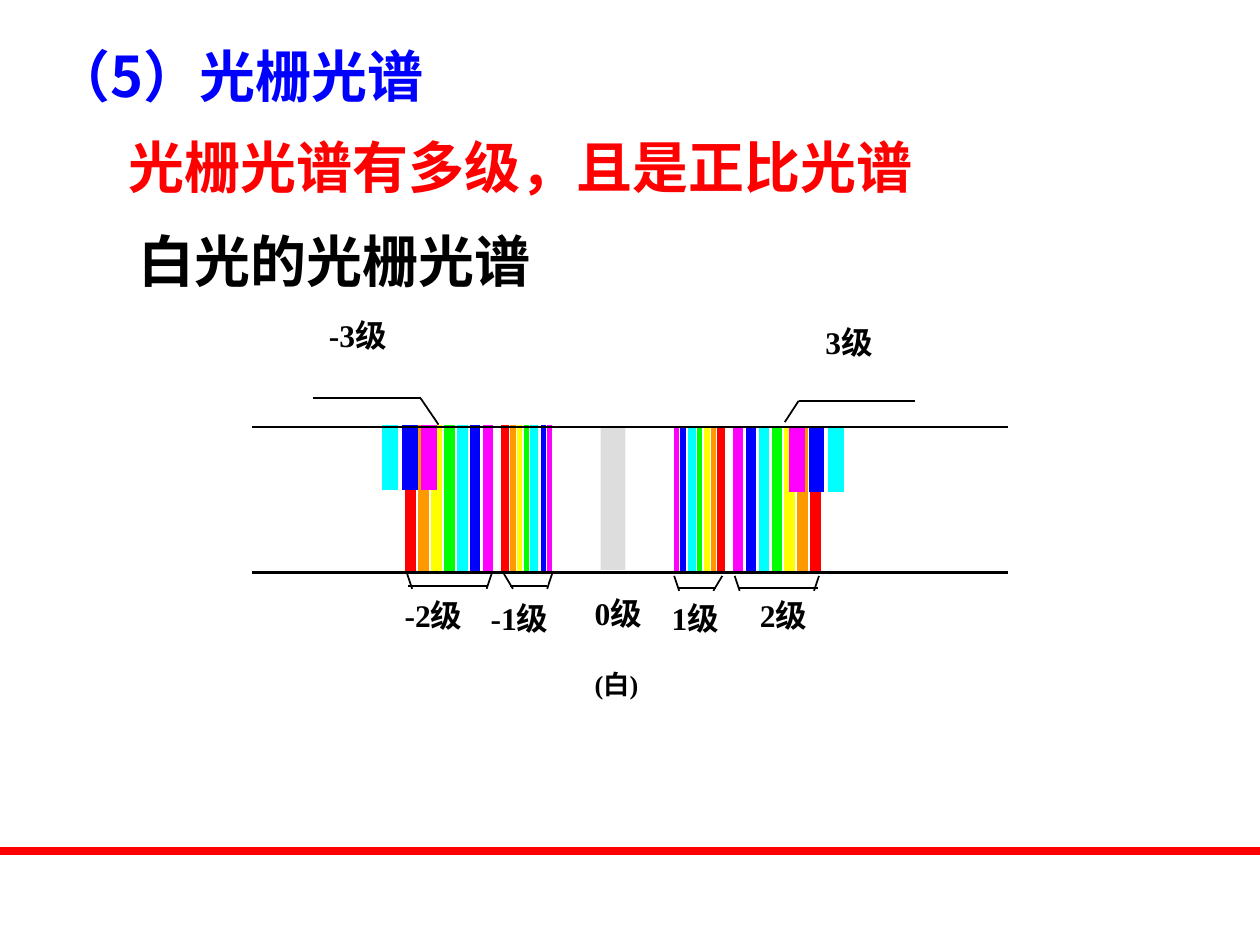
import pptx
import pptx.util
import pptx.dml.color
import pptx.enum.shapes
import pptx.enum.text
import pptx.oxml
import pptx.oxml.ns

Cm = pptx.util.Cm
Pt = pptx.util.Pt

COLORS = {
    "red": "FF0000", "orange": "FF9900", "yellow": "FFFF00", "green": "00FF00",
    "cyan": "00FFFF", "blue": "0000FF", "magenta": "FF00FF",
    "grey": "DDDDDD", "black": "000000",
}
CHINESE_FONT = "Noto Sans CJK SC"
LABEL_FONT = "Times New Roman"

SPECTRUM = ["magenta", "blue", "cyan", "green", "yellow", "red", "orange"]
FIRST_ORDER = list(zip(SPECTRUM, [1.28, 1.41, 1.59, 1.74, 1.89, 2.18, 2.02],
                       [3, 3, 4.5, 3, 3, 4.5, 3]))
SECOND_ORDER = [(name, 2.52 + 0.26 * step, 6)
                for name, step in zip(SPECTRUM, [0, 1, 2, 3, 4, 6, 5])]
THIRD_ORDER = [(name, 3.71 + 0.39 * step, 9)
               for step, name in enumerate(SPECTRUM[:3])]

BRACKETS = [
    {"tips": (1.23, 2.2), "feet": (1.33, 2.02), "base": (1.33, 2.07)},
    {"tips": (2.45, 4.15), "feet": (2.55, 4.05), "base": (2.53, 4.13)},
]
LABELS = [
    ("0级", 6.88, 5.59, 1.85, 18), ("1级", 8.43, 5.69, 1.42, 18),
    ("2级", 10.21, 5.64, 1.37, 18), ("-2级", 3.05, 5.64, 1.73, 18),
    ("-1级", 4.78, 5.69, 2.11, 18), ("(白)", 6.88, 7.09, 1.37, 15),
    ("3级", 11.53, 0.13, 1.37, 18), ("-3级", 1.52, 0, 1.73, 18),
]
LEADERS = [
    [(10.74, 2.16), (11.02, 1.73), (13.36, 1.73)],
    [(3.76, 2.21), (3.4, 1.68), (1.22, 1.68)],
]


def color(name):
    return pptx.dml.color.RGBColor.from_string(COLORS[name])


def add_line(slide, start, end, color_name, width):
    connector = slide.shapes.add_connector(
        pptx.enum.shapes.MSO_CONNECTOR.STRAIGHT,
        Cm(start[0]), Cm(start[1]), Cm(end[0]), Cm(end[1]))
    connector.line.color.rgb = color(color_name)
    connector.line.width = Pt(width)
    properties = connector.element.find(pptx.oxml.ns.qn("p:spPr"))
    properties.append(pptx.oxml.parse_xml(
        "<a:effectLst %s/>" % pptx.oxml.ns.nsdecls("a")))


def write_text(shape, text, font_name, size, color_name, margins, alignment):
    frame = shape.text_frame
    frame.word_wrap = True
    frame.auto_size = pptx.enum.text.MSO_AUTO_SIZE.NONE
    frame.vertical_anchor = pptx.enum.text.MSO_ANCHOR.TOP
    frame.margin_left = frame.margin_right = Cm(margins[0])
    frame.margin_top = frame.margin_bottom = Cm(margins[1])
    paragraph = frame.paragraphs[0]
    paragraph.alignment = alignment
    paragraph.space_before = Pt(0)
    paragraph.line_spacing = 1.0
    run = paragraph.add_run()
    run.text = text
    run.font.name = font_name
    run.font.size = Pt(size)
    run.font.bold = True
    run.font.color.rgb = color(color_name)
    latin = run.font._element.find(pptx.oxml.ns.qn("a:latin"))
    latin.addnext(pptx.oxml.parse_xml(
        '<a:ea %s typeface="%s"/>' % (pptx.oxml.ns.nsdecls("a"), CHINESE_FONT)))


def add_headings(slide, left, top):
    title = slide.shapes.title
    headings = [
        ("（5）光栅光谱", 0, 0, 9.73, "blue"),
        ("光栅光谱有多级，且是正比光谱", 1.5, 1.83, 18.62, "red"),
        ("白光的光栅光谱", 1.7, 3.73, 8.46, "black"),
    ]
    for index, (text, x, y, width, color_name) in enumerate(headings):
        if index == 0:
            shape = title
        else:
            shape = slide.shapes.add_textbox(0, 0, 0, 0)
        shape.left, shape.top = Cm(left + x), Cm(top + y)
        shape.width, shape.height = Cm(width), Cm(1.63)
        write_text(shape, text, CHINESE_FONT, 32, color_name, (0.25, 0.13),
                   pptx.enum.text.PP_ALIGN.LEFT)


def add_half(slide, center, top, side):
    lift = 0.04 if side < 0 else 0
    band_top = top + 2.26 - lift
    for bands, height in [(FIRST_ORDER + SECOND_ORDER, 2.94), (THIRD_ORDER, 1.3)]:
        for color_name, offset, width in bands:
            x = center + side * offset
            add_line(slide, (x, band_top), (x, band_top + height), color_name, width)
    tip_y, foot_y, base_y = (top + y - lift for y in (5.26, 5.56, 5.51))
    for bracket in BRACKETS:
        for tip, foot in zip(bracket["tips"], bracket["feet"]):
            add_line(slide, (center + side * tip, tip_y),
                     (center + side * foot, foot_y), "black", 1)
        start, end = (center + side * offset for offset in bracket["base"])
        add_line(slide, (start, base_y), (end, base_y), "black", 1)


def add_spectrum(slide, left, top, width):
    center = left + 7.28
    zero_order = slide.shapes.add_shape(
        pptx.enum.shapes.MSO_SHAPE.RECTANGLE,
        Cm(center - 0.25), Cm(top + 2.24), Cm(0.5), Cm(2.9))
    zero_order.shadow.inherit = False
    zero_order.fill.solid()
    zero_order.fill.fore_color.rgb = color("grey")
    zero_order.line.fill.background()
    for side in (1, -1):
        add_half(slide, center, top, side)
    for y in (2.26, 5.19):
        add_line(slide, (left, top + y), (left + width, top + y), "black", 1.5)
    for leader in LEADERS:
        points = [(left + x, top + y) for x, y in leader]
        for start, end in zip(points, points[1:]):
            add_line(slide, start, end, "black", 1)
    for text, x, y, label_width, size in LABELS:
        label = slide.shapes.add_textbox(
            Cm(left + x), Cm(top + y), Cm(label_width), Cm(1.3))
        write_text(label, text, LABEL_FONT, size, "black", (0.03, 0.03),
                   pptx.enum.text.PP_ALIGN.JUSTIFY)


def main():
    presentation = pptx.Presentation()
    presentation.slide_width = Cm(25.4)
    presentation.slide_height = Cm(19.05)
    slide = presentation.slides.add_slide(presentation.slide_layouts[5])
    add_line(slide, (0, 17.15), (25.4, 17.15), "red", 4.5)
    add_headings(slide, 0.84, 0.71)
    add_spectrum(slide, 5.08, 6.35, 15.24)
    presentation.save("out.pptx")


if __name__ == "__main__":
    main()
